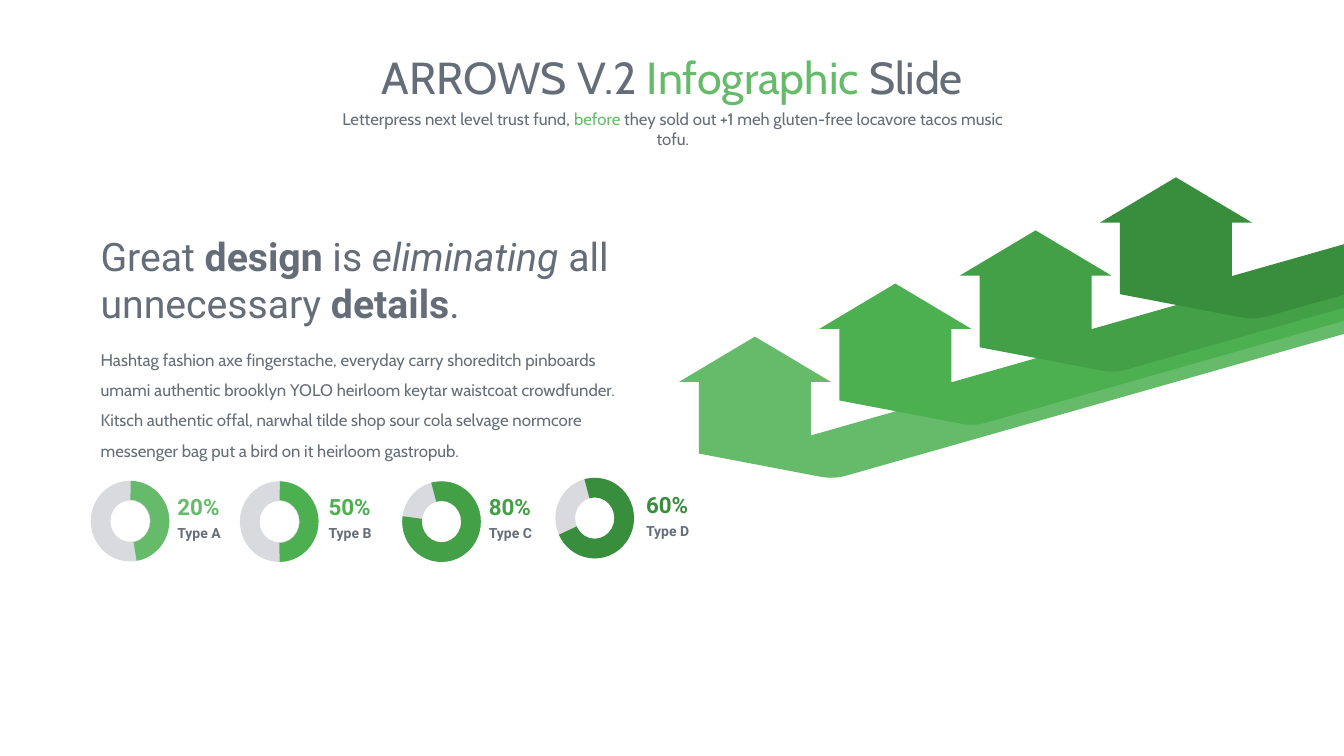
from pptx import Presentation
from pptx.dml.color import RGBColor
from pptx.enum.shapes import MSO_SHAPE
from pptx.enum.text import MSO_AUTO_SIZE, PP_ALIGN
from pptx.util import Inches, Pt

DONUT = MSO_SHAPE.DONUT
BLOCK_ARC = MSO_SHAPE.BLOCK_ARC
CENTER = PP_ALIGN.CENTER
LEFT = PP_ALIGN.LEFT
NO_AUTO_SIZE = MSO_AUTO_SIZE.NONE

CELL = Inches(0.1)
COLUMNS, ROWS = 133.33, 75

SLATE = RGBColor(0x65, 0x6D, 0x78)
TRACK = RGBColor(0xD8, 0xDA, 0xDD)
LIGHT_GREEN = RGBColor(0x66, 0xBB, 0x6A)
GREEN = RGBColor(0x4C, 0xAF, 0x50)
MEDIUM_GREEN = RGBColor(0x43, 0xA0, 0x47)
DARK_GREEN = RGBColor(0x38, 0x8E, 0x3C)
GREENS = [LIGHT_GREEN, GREEN, MEDIUM_GREEN, DARK_GREEN]

FIRST_TIP = (74.9, 33.4)
TIP_STEP = (13.92, -5.27)
BAND_END = 133.8
BAND_TOP, BAND_BOTTOM, BAND_STEP = 28, 33, -1.3
HEAD_RIGHT = [(7.55, 4.5), (5.55, 4.5), (5.55, 9.8)]
ELBOW_AND_LEFT = [
    (8.85, 13.85), (8.2, 13.97), (7.5, 14), (7, 13.97), (6.5, 13.9),
    (-5.55, 11.6), (-5.55, 4.5), (-7.55, 4.5),
]

GAUGE_WIDTH, GAUGE_HEIGHT = 7.8, 8
GAUGES = [
    ("20%", "Type A", 9, 47.7, 17.6, 49.2, 271, 80.55, 0.24),
    ("50%", "Type B", 23.8, 47.75, 32.6, 49.25, 271, 89.45, 0.24),
    ("80%", "Type C", 39.9, 47.75, 48.5, 49.25, 255.2, 187.9, 0.25),
    ("60%", "Type D", 55.1, 47.4, 64.1, 49, 255.2, 155.05, 0.25),
]


def cells(*values):
    return [round(value * CELL) for value in values]


def paint(shape, color):
    shape.shadow.inherit = False
    shape.fill.solid()
    shape.fill.fore_color.rgb = color
    shape.line.fill.background()


def add_text(slide, box, runs, font, size, align=LEFT, spacing=1.0, inset=True):
    frame = slide.shapes.add_textbox(*cells(*box)).text_frame
    frame.word_wrap = True
    frame.auto_size = NO_AUTO_SIZE
    if not inset:
        for side in ("left", "top", "right", "bottom"):
            setattr(frame, f"margin_{side}", 0)
    paragraph = frame.paragraphs[0]
    paragraph.alignment = align
    paragraph.line_spacing = spacing
    for text, color, styles in runs:
        run = paragraph.add_run()
        run.text = text
        run.font.color.rgb = color
        for name, value in {"name": font, "size": Pt(size), **styles}.items():
            setattr(run.font, name, value)


def add_arrow(slide, index, color):
    tip_x, tip_y = (start + index * step for start, step in zip(FIRST_TIP, TIP_STEP))

    def place(offsets):
        return [cells(tip_x + x, tip_y + y) for x, y in offsets]

    band = [cells(BAND_END, edge + index * BAND_STEP) for edge in (BAND_TOP, BAND_BOTTOM)]
    builder = slide.shapes.build_freeform(*cells(tip_x, tip_y))
    builder.add_line_segments(place(HEAD_RIGHT) + band + place(ELBOW_AND_LEFT))
    paint(builder.convert_to_shape(), color)


def add_gauge(slide, gauge, color):
    percent, label, left, top, text_left, text_top, start, end, thickness = gauge
    box = cells(left, top, GAUGE_WIDTH, GAUGE_HEIGHT)
    paint(slide.shapes.add_shape(DONUT, *box), TRACK)
    arc = slide.shapes.add_shape(BLOCK_ARC, *box)
    for position, value in enumerate((start * 0.6, end * 0.6, thickness)):
        arc.adjustments[position] = value
    paint(arc, color)
    for text, tint, size, offset, height in (
        (percent, color, 16, 0, 2.9),
        (label, SLATE, 10, 3, 2.3),
    ):
        add_text(slide, (text_left, text_top + offset, 4.9, height),
                 [(text, tint, {"bold": True})], "Roboto", size,
                 spacing=0.9, inset=False)


def main():
    presentation = Presentation()
    presentation.slide_width, presentation.slide_height = cells(COLUMNS, ROWS)
    slide = presentation.slides.add_slide(presentation.slide_layouts[6])

    add_text(slide, (25.4, 4.45, 82.6, 6.4), [
        ("ARROWS V.2 ", SLATE, {}),
        ("Infographic ", LIGHT_GREEN, {}),
        ("Slide", SLATE, {}),
    ], "Cabin", 32, align=CENTER)
    add_text(slide, (32, 10.3, 69.5, 5), [
        ("Letterpress next level trust fund, ", SLATE, {}),
        ("before", LIGHT_GREEN, {}),
        (" they sold out +1 meh gluten-free locavore tacos music tofu.", SLATE, {}),
    ], "Cabin", 12, align=CENTER)

    for index, color in enumerate(GREENS):
        add_arrow(slide, index, color)

    add_text(slide, (9, 22.6, 54.6, 10.4), [
        ("Great ", SLATE, {}),
        ("design", SLATE, {"bold": True}),
        (" is ", SLATE, {}),
        ("eliminating", SLATE, {"italic": True}),
        (" all unnecessary ", SLATE, {}),
        ("details", SLATE, {"bold": True}),
        (".", SLATE, {}),
    ], "Roboto", 28)
    add_text(slide, (9, 33.2, 53.2, 13.1), [(
        "Hashtag fashion axe fingerstache, everyday carry shoreditch pinboards "
        "umami authentic brooklyn YOLO heirloom keytar waistcoat crowdfunder. "
        "Kitsch authentic offal, narwhal tilde shop sour cola selvage normcore "
        "messenger bag put a bird on it heirloom gastropub.", SLATE, {},
    )], "Cabin", 12, spacing=1.5)

    for gauge, color in zip(GAUGES, GREENS):
        add_gauge(slide, gauge, color)

    presentation.save("out.pptx")


if __name__ == "__main__":
    main()
